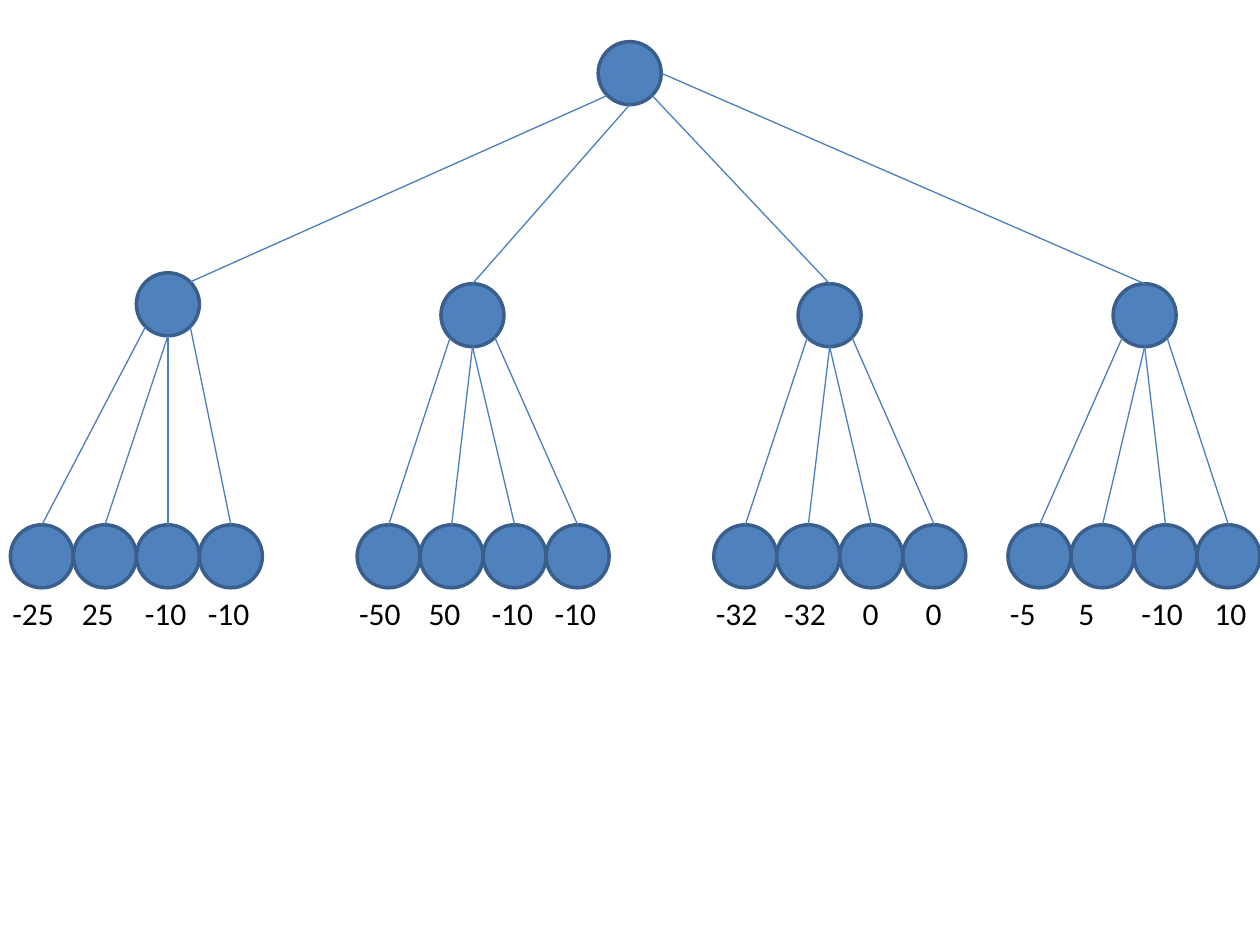
"""Draw a three-level game tree with a value under each leaf."""
from lxml.etree import SubElement
from pptx import Presentation
from pptx.dml.color import RGBColor as Rgb
from pptx.enum.shapes import MSO_CONNECTOR as Connector, MSO_SHAPE as Shape
from pptx.enum.text import MSO_AUTO_SIZE as AutoSize
from pptx.oxml.ns import qn
from pptx.util import Cm, Pt

THEME = {
    "node": Rgb.from_string("4F81BD"),
    "rim": Rgb.from_string("3A5F8C"),
    "edge": Rgb.from_string("4B7EBC"),
    "rim_width": Pt(2),
    "edge_width": Pt(0.75),
    "label": {"name": "Calibri", "size": Pt(18), "color": Rgb(0, 0, 0)},
}
SIZE = 1.27
ROOT = (12.06, 0.84)
LEAF_TOP, LABEL_TOP, LABEL_HEIGHT = 10.58, 11.86, 1.02

BRANCHES = [
    {"at": (2.75, 5.5), "leaves": 0.21, "root_site": "bottom_left", "top_site": "top_right",
     "values": [("-25", -0.21), ("25", -0.08), ("-10", -0.08), ("-10", -0.08)]},
    {"at": (8.89, 5.72), "leaves": 7.2, "root_site": "bottom", "top_site": "top",
     "values": [("-50", -0.21), ("50", -0.08), ("-10", -0.08), ("-10", -0.08)]},
    {"at": (16.09, 5.72), "leaves": 14.39, "root_site": "bottom_right", "top_site": "top",
     "values": [("-32", -0.21), ("-32", -0.1), ("0", 0.21), ("0", 0.21)]},
    {"at": (22.44, 5.72), "leaves": 20.32, "root_site": "right", "top_site": "top",
     "values": [("-5", -0.21), ("5", -0.1), ("-10", -0.1), ("10", 0.1)]},
]
LEAF_SITES = ["bottom_left", "bottom", "bottom", "bottom_right"]
SITES = {
    "top": (0, -1), "top_right": (0.71, -0.71), "right": (1, 0),
    "bottom_left": (-0.71, 0.71), "bottom": (0, 1), "bottom_right": (0.71, 0.71),
}

deck = Presentation()
deck.slide_width, deck.slide_height = Cm(25.4), Cm(19.05)
slide = deck.slides.add_slide(deck.slide_layouts[6])


def add_node(left, top):
    node = slide.shapes.add_shape(Shape.OVAL, Cm(left), Cm(top), Cm(SIZE), Cm(SIZE))
    node.shadow.inherit = False
    node.fill.solid()
    node.fill.fore_color.rgb = THEME["node"]
    node.line.color.rgb = THEME["rim"]
    node.line.width = THEME["rim_width"]


def site_point(corner, site):
    return [Cm(start + SIZE / 2 * (1 + shift)) for start, shift in zip(corner, SITES[site])]


def add_edge(parent, parent_site, child, child_site):
    edge = slide.shapes.add_connector(
        Connector.STRAIGHT, *site_point(parent, parent_site), *site_point(child, child_site))
    edge.line.color.rgb = THEME["edge"]
    edge.line.width = THEME["edge_width"]
    SubElement(edge._element.spPr, qn("a:effectLst"))


def add_label(value, left):
    digits = len(value.lstrip("-"))
    width = 0.51 + 0.32 * digits + 0.2 * value.startswith("-")
    label = slide.shapes.add_textbox(Cm(left), Cm(LABEL_TOP), Cm(width), Cm(LABEL_HEIGHT))
    frame = label.text_frame
    for key, setting in {"word_wrap": False, "auto_size": AutoSize.SHAPE_TO_FIT_TEXT}.items():
        setattr(frame, key, setting)
    run = frame.paragraphs[0].add_run()
    run.text = value
    for key, setting in THEME["label"].items():
        if key == "color":
            run.font.color.rgb = setting
        else:
            setattr(run.font, key, setting)


def leaf_corners(branch):
    return [(branch["leaves"] + SIZE * i, LEAF_TOP) for i in range(len(branch["values"]))]


add_node(*ROOT)
for branch in BRANCHES:
    add_node(*branch["at"])
    for leaf in leaf_corners(branch):
        add_node(*leaf)

for branch in BRANCHES:
    add_edge(ROOT, branch["root_site"], branch["at"], branch["top_site"])
    for leaf, site in zip(leaf_corners(branch), LEAF_SITES):
        add_edge(branch["at"], site, leaf, "top")

for branch in BRANCHES:
    for leaf, (value, shift) in zip(leaf_corners(branch), branch["values"]):
        add_label(value, leaf[0] + shift)

deck.save("out.pptx")
